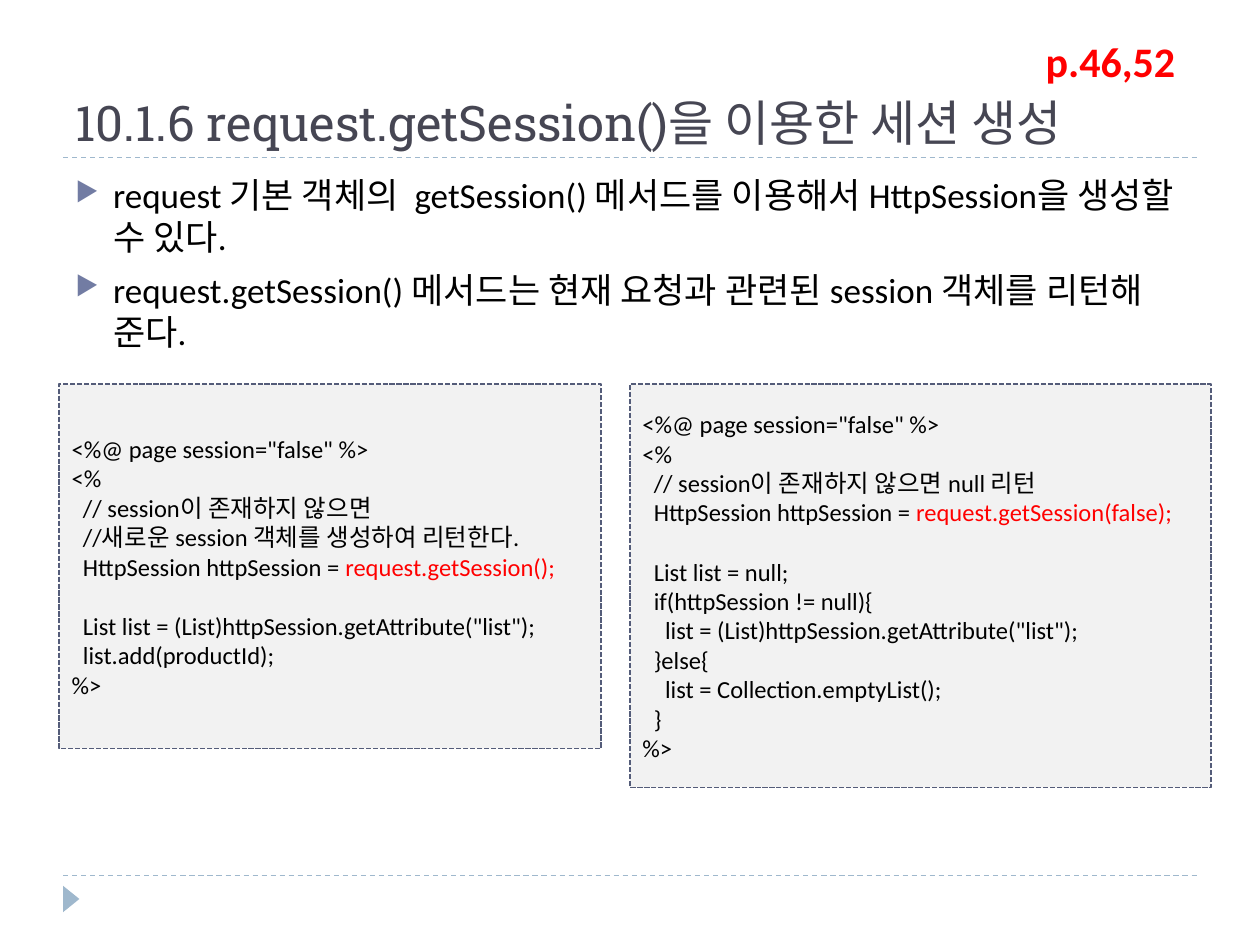
import dataclasses
import typing

import lxml.etree
import pptx
import pptx.dml.color
import pptx.enum.dml
import pptx.enum.shapes
import pptx.enum.text
import pptx.oxml.ns
import pptx.util

SHAPE = pptx.enum.shapes.MSO_SHAPE
ANCHOR = pptx.enum.text.MSO_ANCHOR
DASH = pptx.enum.dml.MSO_LINE


@dataclasses.dataclass(frozen=True)
class Theme:
    title: str = "464653"
    text: str = "000000"
    accent: str = "FF0000"
    bullet: str = "727CA3"
    rule: str = "9FB8CD"
    panel: str = "F2F2F2"
    panel_edge: str = "545C79"
    heading_font: str = "Roboto Slab"
    body_font: str = "Calibri"
    title_size: int = 28
    page_size: int = 24
    body_size: int = 20
    code_size: int = 14


class Area(typing.NamedTuple):
    """Place in grid columns and rows."""
    col: float
    row: float
    cols: float
    rows: float


class CodeLine(typing.NamedTuple):
    text: str
    depth: int = 0
    highlight: str = ""
    gap_above: bool = False


class CodePanel(typing.NamedTuple):
    area: Area
    lines: list[CodeLine]


THEME = Theme()
COLUMNS, ROWS = 20, 15
CODE_INDENT = 0.09  # inches for one depth of code
CODE_GAP = 17       # points, one line of code

deck = pptx.Presentation()
deck.slide_width = pptx.util.Inches(10)
deck.slide_height = pptx.util.Inches(7.5)
slide = deck.slides.add_slide(deck.slide_layouts[6])


def across(cols: float) -> int:
    return round(deck.slide_width * cols / COLUMNS)


def down(rows: float) -> int:
    return round(deck.slide_height * rows / ROWS)


def place(area: Area) -> tuple[int, int, int, int]:
    return across(area.col), down(area.row), across(area.cols), down(area.rows)


def rgb(value: str) -> pptx.dml.color.RGBColor:
    return pptx.dml.color.RGBColor.from_string(value)


def add_run(paragraph, text: str, *, size: float, color: str = THEME.text,
            font: str = THEME.body_font, bold: bool = False) -> None:
    run = paragraph.add_run()
    run.text = text
    run.font.size = pptx.util.Pt(size)
    run.font.name = font
    run.font.bold = bold
    run.font.color.rgb = rgb(color)


def add_frame(area: Area, anchor=ANCHOR.TOP):
    frame = slide.shapes.add_textbox(*place(area)).text_frame
    frame.word_wrap = True
    frame.vertical_anchor = anchor
    return frame


def next_paragraph(frame, index: int):
    paragraph = frame.add_paragraph() if index else frame.paragraphs[0]
    paragraph.alignment = pptx.enum.text.PP_ALIGN.LEFT
    return paragraph


def add_bullet(paragraph) -> None:
    properties = paragraph._p.get_or_add_pPr()
    indent = pptx.util.Inches(0.3)
    properties.set("marL", str(indent))
    properties.set("indent", str(-indent))
    qn = pptx.oxml.ns.qn
    color = lxml.etree.SubElement(properties, qn("a:buClr"))
    lxml.etree.SubElement(color, qn("a:srgbClr"), val=THEME.bullet)
    lxml.etree.SubElement(properties, qn("a:buSzPct"), val="76000")
    lxml.etree.SubElement(properties, qn("a:buChar"), char="▶")


def draw_rule(row: float) -> None:
    rule = slide.shapes.add_connector(
        pptx.enum.shapes.MSO_CONNECTOR.STRAIGHT,
        across(1), down(row), across(COLUMNS - 1), down(row))
    rule.line.color.rgb = rgb(THEME.rule)
    rule.line.width = pptx.util.Pt(0.75)
    rule.line.dash_style = DASH.DASH
    lxml.etree.SubElement(rule._element.spPr, pptx.oxml.ns.qn("a:effectLst"))


def add_filled(kind, area: Area, color: str):
    shape = slide.shapes.add_shape(kind, *place(area))
    shape.shadow.inherit = False
    shape.fill.solid()
    shape.fill.fore_color.rgb = rgb(color)
    return shape


def draw_code(panel: CodePanel) -> None:
    box = add_filled(SHAPE.RECTANGLE, panel.area, THEME.panel)
    box.line.color.rgb = rgb(THEME.panel_edge)
    box.line.width = pptx.util.Pt(1)
    box.line.dash_style = DASH.SQUARE_DOT
    frame = box.text_frame
    frame.word_wrap = True
    frame.vertical_anchor = ANCHOR.MIDDLE
    for index, line in enumerate(panel.lines):
        paragraph = next_paragraph(frame, index)
        indent = pptx.util.Inches(CODE_INDENT * line.depth)
        paragraph._p.get_or_add_pPr().set("marL", str(indent))
        if line.gap_above:
            paragraph.space_before = pptx.util.Pt(CODE_GAP)
        add_run(paragraph, line.text, size=THEME.code_size)
        if line.highlight:
            add_run(paragraph, line.highlight, size=THEME.code_size, color=THEME.accent)


# Rules and footer marker
for rule_row in (13.9, 2.5):
    draw_rule(rule_row)
marker = add_filled(SHAPE.ISOSCELES_TRIANGLE, Area(0.92, 14.14, 0.42, 0.26), THEME.rule)
marker.line.fill.background()
marker.rotation = 90

# Title
heading = add_frame(Area(1, 0.34, 18, 2.16), ANCHOR.BOTTOM)
add_run(heading.paragraphs[0], "10.1.6 request.getSession()을 이용한 세션 생성",
        size=THEME.title_size, color=THEME.title, font=THEME.heading_font)

# Key points
points = add_frame(Area(1, 2.66, 18, 10.8))
for number, point in enumerate((
        "request 기본 객체의  getSession() 메서드를 이용해서 HttpSession을 생성할 수 있다.",
        "request.getSession() 메서드는 현재 요청과 관련된 session 객체를 리턴해 준다.")):
    item = next_paragraph(points, number)
    item.space_before = pptx.util.Pt(6)
    add_bullet(item)
    add_run(item, point, size=THEME.body_size)

# Code examples
opening = [CodeLine('<%@ page session="false" %>'), CodeLine("<%")]
closing = [CodeLine("%>")]
declaration = "HttpSession httpSession = "
get_list = 'list = (List)httpSession.getAttribute("list");'
create_session = CodePanel(Area(0.94, 6.1, 8.6, 5.78), opening + [
    CodeLine("// session이 존재하지 않으면", 1),
    CodeLine("//새로운 session 객체를 생성하여 리턴한다.", 1),
    CodeLine(declaration, 1, "request.getSession();"),
    CodeLine("List " + get_list, 1, gap_above=True),
    CodeLine("list.add(productId);", 1),
] + closing)
find_session = CodePanel(Area(10, 6.1, 9.22, 6.4), opening + [
    CodeLine("// session이 존재하지 않으면 null 리턴", 1),
    CodeLine(declaration, 1, "request.getSession(false);"),
    CodeLine("List list = null;", 1, gap_above=True),
    CodeLine("if(httpSession != null){", 1),
    CodeLine(get_list, 2),
    CodeLine("}else{", 1),
    CodeLine("list = Collection.emptyList();", 2),
    CodeLine("}", 1),
] + closing)
for example in (create_session, find_session):
    draw_code(example)

# Page reference
reference = add_frame(Area(16.4, 0.46, 2.66, 1))
add_run(reference.paragraphs[0], "p.46,52", size=THEME.page_size,
        color=THEME.accent, bold=True)

deck.save("out.pptx")
